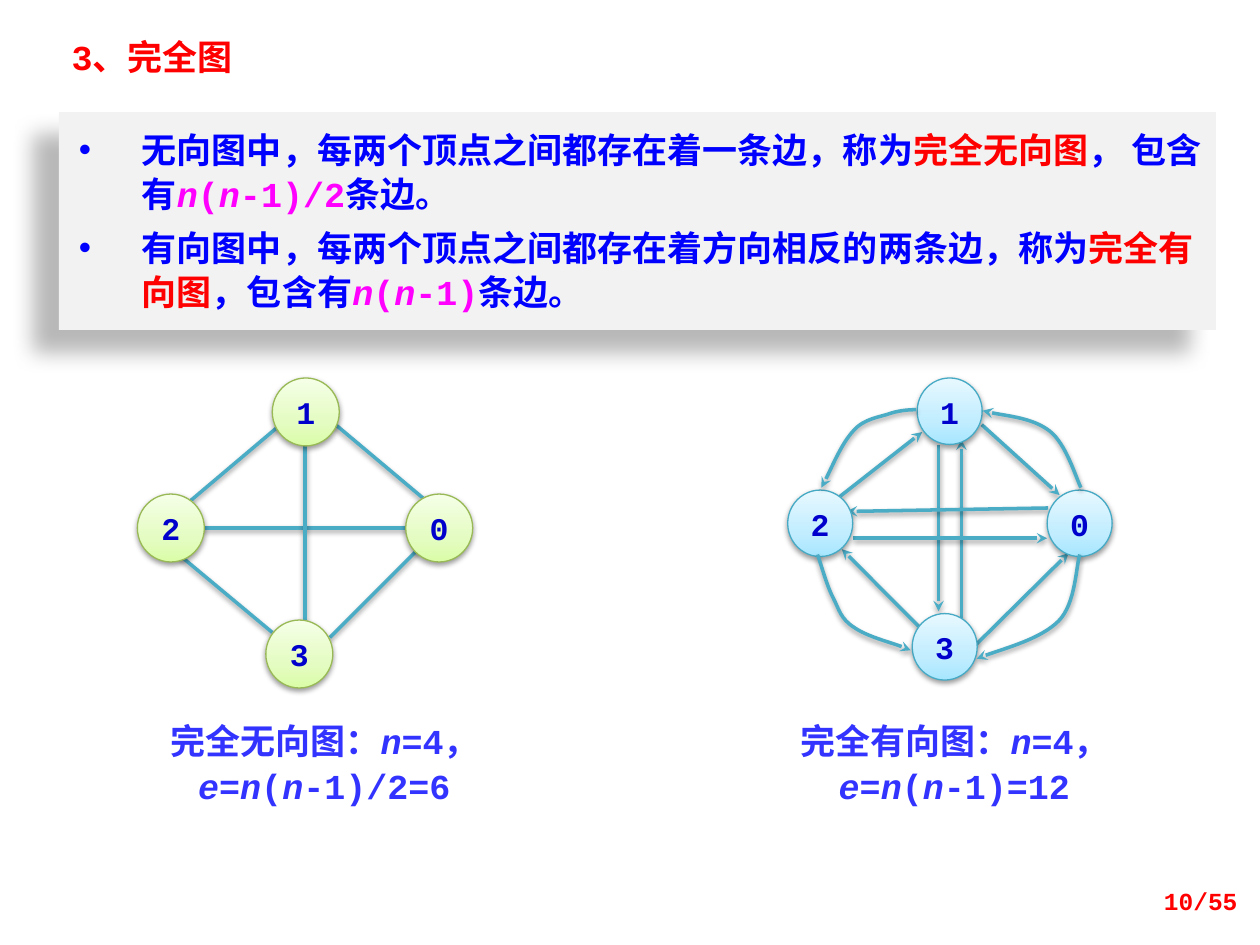
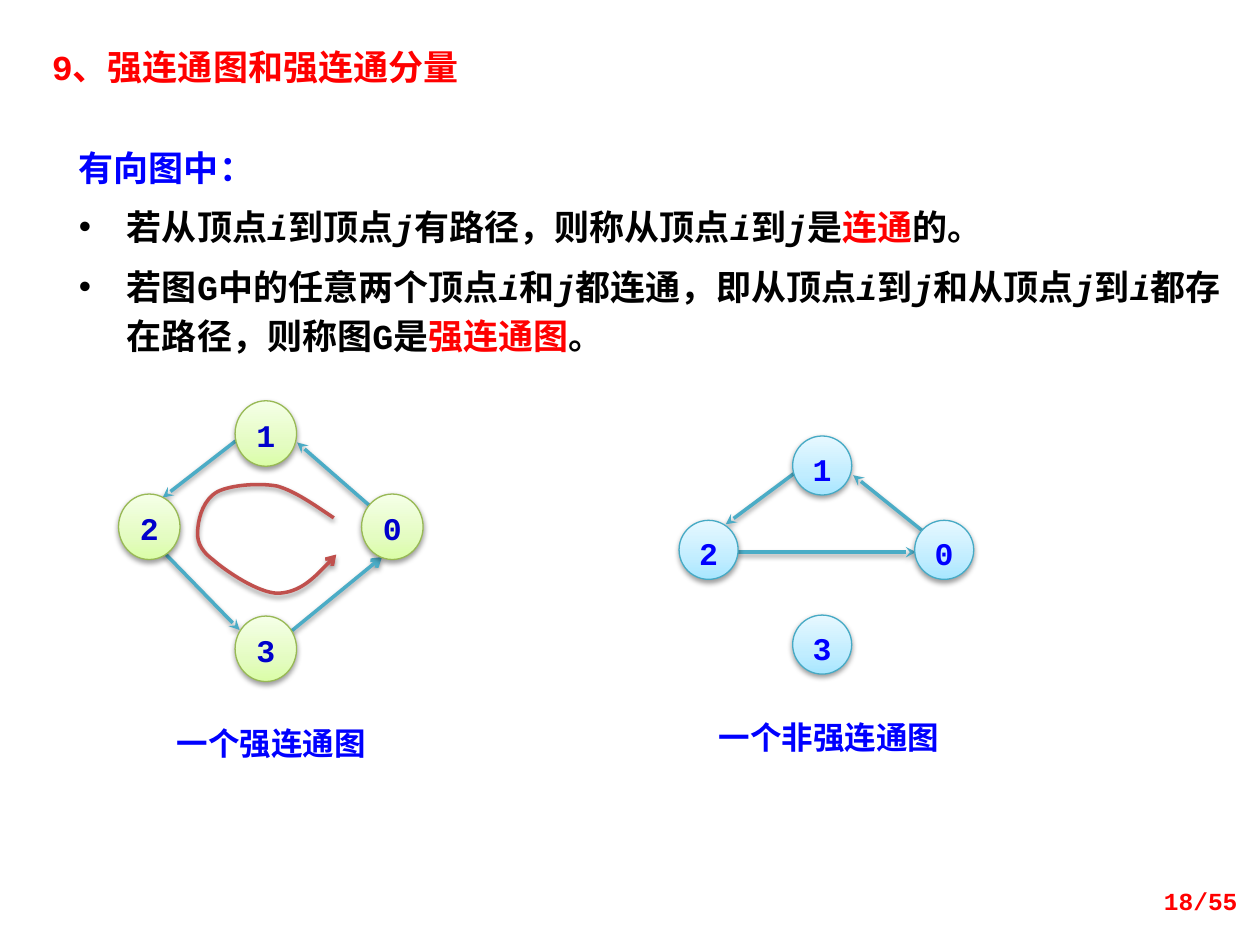
from copy import deepcopy
from dataclasses import dataclass, field
from typing import Any, NamedTuple, Optional

from lxml import etree
from pptx import Presentation
from pptx.dml.color import RGBColor
from pptx.enum import shapes, text
from pptx.oxml.ns import qn
from pptx.util import Cm, Pt

# Shared look
CODE_FONT, HAN_FONT, TERM_FONT = "Courier New", "Noto Sans CJK SC", "Noto Sans CJK JP"
RED, BLUE, NAVY, INDIGO = "FF0000", "0000FF", "0000CC", "3333FF"
MAGENTA, BLACK, EDGE, CYCLE = "FF00FF", "000000", "4BACC6", "C0504D"
TITLE_HEIGHT = 1.12
PAGE_BOX = (19.28, 17.65, 5.92, 1.02)
PAGE_TOTAL = 55
Points = list[tuple[float, float]]
Box = tuple[float, float, float, float]


class Shadow(NamedTuple):
    opacity: int
    blur: float
    distance: float
    angle: int


class Palette(NamedTuple):
    stops: tuple[tuple[float, str], ...]
    outline: str


SOFT_SHADOW = Shadow(38, 3.1, 1.6, 90)
PANEL_SHADOW = Shadow(28, 11.8, 19.7, 141)
GREEN = Palette(((0, "DAFDA7"), (0.35, "E4FCC2"), (1, "F5FFE7")), "98B955")
SKY = Palette(((0, "A7E6FF"), (0.35, "C1EDFF"), (1, "E7F8FF")), "46AAC5")


class Span(NamedTuple):
    """Text in one colour; underscores switch italics on and off."""
    words: str
    colour: str
    font: str = CODE_FONT


class Para(NamedTuple):
    spans: list[Span]
    hanging: float = 0


class Edge(NamedTuple):
    x1: float
    y1: float
    x2: float
    y2: float
    tip: Optional[str] = "stealth"


@dataclass
class Graph:
    palette: Palette
    node_size: tuple[float, float]
    nodes: dict[str, tuple[float, float]]
    edges: list[Edge]
    caption_box: Box
    caption: list[Para]
    caption_format: dict[str, Any]
    label_colour: str = NAVY
    caption_size: int = 20
    curves: list[Points] = field(default_factory=list)


# Formatting helpers
def rgb(code: str) -> RGBColor:
    return RGBColor.from_string(code)


def set_values(target: Any, values: dict[str, Any]) -> None:
    for name, value in values.items():
        setattr(target, name, value)


def add_element(parent: Any, tag: str, **attributes: Any) -> Any:
    return etree.SubElement(parent, qn(tag), {k: str(v) for k, v in attributes.items()})


def cast_shadow(shape: Any, shadow: Shadow) -> None:
    effects = add_element(shape._element.spPr, "a:effectLst")
    outer = add_element(effects, "a:outerShdw", blurRad=Pt(shadow.blur), dist=Pt(shadow.distance),
                        dir=shadow.angle * 60000, algn="ctr", rotWithShape=0)
    colour = add_element(outer, "a:srgbClr", val=BLACK)
    add_element(colour, "a:alpha", val=shadow.opacity * 1000)


def style_line(line: Any, colour: str, width: float) -> None:
    line.color.rgb = rgb(colour)
    line.width = Pt(width)


def style_edge(shape: Any, colour: str, tip: Optional[str]) -> None:
    style_line(shape.line, colour, 2)
    if tip:
        add_element(shape._element.spPr.find(qn("a:ln")), "a:tailEnd", type=tip)
    cast_shadow(shape, SOFT_SHADOW)


def write_paragraphs(frame: Any, paras: list[Para], size: int, layout: dict[str, Any],
                     gap: float = 0) -> None:
    for index, para in enumerate(paras):
        paragraph = frame.add_paragraph() if index else frame.paragraphs[0]
        set_values(paragraph, layout | {"space_before": Pt(gap if index else 0)})
        if para.hanging:
            properties = paragraph._p.get_or_add_pPr()
            properties.set("marL", str(Cm(para.hanging)))
            properties.set("indent", str(-Cm(para.hanging)))
            add_element(properties, "a:buFont", typeface="Arial")
            add_element(properties, "a:buChar", char="•")
        for span in para.spans:
            for part, words in enumerate(span.words.split("_")):
                if words:
                    run = paragraph.add_run()
                    run.text = words
                    set_values(run.font, {"name": span.font, "size": Pt(size), "bold": True,
                                          "italic": part % 2 == 1})
                    run.font.color.rgb = rgb(span.colour)
                    han = HAN_FONT if span.font == CODE_FONT else span.font
                    add_element(run._r.rPr, "a:ea", typeface=han)


def prepare_frame(shape: Any, anchor: Any = text.MSO_ANCHOR.TOP,
                  margins: Optional[Box] = None) -> Any:
    frame = shape.text_frame
    set_values(frame, {"word_wrap": True, "auto_size": text.MSO_AUTO_SIZE.NONE,
                       "vertical_anchor": anchor})
    if margins:
        sides = ("margin_left", "margin_top", "margin_right", "margin_bottom")
        set_values(frame, dict(zip(sides, map(Cm, margins))))
    return frame


# Slide parts
def start_slide(deck: Any, title: str, left: float, top: float, width: float, page: int) -> Any:
    slide = deck.slides.add_slide(deck.slide_layouts[5])
    heading = slide.shapes.title
    set_values(heading, dict(zip(("left", "top", "width", "height"),
                                 map(Cm, (left, top, width, TITLE_HEIGHT)))))
    write_paragraphs(prepare_frame(heading), [Para([Span(title, RED)])], 20,
                     {"alignment": text.PP_ALIGN.LEFT})
    number = slide.shapes.add_textbox(*map(Cm, PAGE_BOX))
    write_paragraphs(prepare_frame(number, text.MSO_ANCHOR.MIDDLE),
                     [Para([Span(f"{page}/{PAGE_TOTAL}", RED)])], 14,
                     {"alignment": text.PP_ALIGN.RIGHT})
    return slide


def add_panel(slide: Any, box: Box, fill: str, paras: list[Para], spacing: int,
              shadow: Optional[Shadow] = None) -> None:
    panel = slide.shapes.add_shape(shapes.MSO_SHAPE.RECTANGLE, *map(Cm, box))
    panel.fill.solid()
    panel.fill.fore_color.rgb = rgb(fill)
    panel.line.fill.background()
    if shadow:
        cast_shadow(panel, shadow)
    else:
        panel.shadow.inherit = False
    write_paragraphs(prepare_frame(panel, margins=(0.4, 0.3, 0.25, 0.3)), paras, 20,
                     {"alignment": text.PP_ALIGN.LEFT, "line_spacing": Pt(spacing)}, gap=6)


def add_edge(slide: Any, edge: Edge) -> None:
    line = slide.shapes.add_connector(shapes.MSO_CONNECTOR.STRAIGHT, *map(Cm, edge[:4]))
    style_edge(line, EDGE, edge.tip)


def add_curve(slide: Any, points: Points, colour: str = EDGE, tip: str = "stealth") -> None:
    """Draw joined Bézier curves: a start, then two controls and an end per curve."""
    start, *rest = [(Cm(x), Cm(y)) for x, y in points]
    builder = slide.shapes.build_freeform(*start)
    builder.add_line_segments(rest, close=False)
    curve = builder.convert_to_shape()
    outline = next(curve._element.spPr.iter(qn("a:path")))
    segments = outline.findall(qn("a:lnTo"))
    for first in range(0, len(segments), 3):
        bezier = add_element(outline, "a:cubicBezTo")
        for segment in segments[first:first + 3]:
            bezier.append(segment[0])
            outline.remove(segment)
    curve.fill.background()
    style_edge(curve, colour, tip)


def add_node(slide: Any, graph: Graph, label: str) -> None:
    node = slide.shapes.add_shape(shapes.MSO_SHAPE.OVAL,
                                  *map(Cm, graph.nodes[label] + graph.node_size))
    node.fill.gradient()
    node.fill.gradient_angle = 90
    stop_list = next(node._element.spPr.iter(qn("a:gsLst")))
    stop_list.insert(1, deepcopy(stop_list[0]))
    for stop, (position, colour) in zip(node.fill.gradient_stops, graph.palette.stops):
        stop.position = position
        stop.color.rgb = rgb(colour)
    style_line(node.line, graph.palette.outline, 0.75)
    cast_shadow(node, SOFT_SHADOW)
    write_paragraphs(prepare_frame(node, margins=(0, 0.3, 0, 0)),
                     [Para([Span(label, graph.label_colour)])], 18,
                     {"alignment": text.PP_ALIGN.CENTER, "line_spacing": 0.72})


def add_graph(slide: Any, graph: Graph) -> None:
    for edge in graph.edges:
        add_edge(slide, edge)
    for label in graph.nodes:
        add_node(slide, graph, label)
    for points in graph.curves:
        add_curve(slide, points)
    caption = slide.shapes.add_textbox(*map(Cm, graph.caption_box))
    write_paragraphs(prepare_frame(caption), graph.caption, graph.caption_size,
                     {"alignment": text.PP_ALIGN.CENTER} | graph.caption_format)


def complete_caption(kind: str, count: str) -> list[Para]:
    return [Para([Span(words, INDIGO)]) for words in (f"{kind}：_n_=4，", f"_e_=_n_(_n_-1){count}")]


# Complete graphs
UNDIRECTED = Graph(
    GREEN, (1.35, 1.37),
    {"1": (5.49, 7.62), "0": (8.18, 9.96), "2": (2.77, 9.96), "3": (5.36, 12.5)},
    [Edge(*ends, tip=None) for ends in (
        (5.69, 8.53, 3.61, 10.29), (3.45, 11.05, 5.49, 12.75), (6.65, 12.85, 8.48, 11.02),
        (6.55, 8.38, 8.61, 10.11), (3.45, 10.64, 8.84, 10.64), (6.15, 8.99, 6.15, 13.11))],
    (2.77, 14.3, 7.54, 2.11), complete_caption("完全无向图", "/2=6"), {"line_spacing": Pt(26)})

DIRECTED = Graph(
    SKY, (1.31, 1.34),
    {"1": (18.49, 7.62), "0": (21.11, 9.88), "2": (15.88, 9.88), "3": (18.39, 12.37)},
    [Edge(18.92, 8.97, 18.92, 12.32), Edge(19.38, 12.88, 19.38, 8.86),
     Edge(21.13, 10.24, 17.07, 10.31), Edge(17.2, 10.85, 21.11, 10.85),
     Edge(18.87, 12.98, 16.97, 11.07), Edge(19.69, 12.98, 21.54, 11.15),
     Edge(19.79, 8.56, 21.36, 9.98), Edge(16.84, 10.08, 18.59, 8.71)],
    (15.47, 14.3, 7.54, 2.11), complete_caption("完全有向图", "=12"), {"line_spacing": Pt(26)},
    curves=[
        [(21.77, 11.18), (21.69, 11.4), (21.69, 12.17), (21.34, 12.52),
         (20.98, 12.88), (20.04, 13.13), (19.69, 13.28)],
        [(18.47, 8.26), (18.39, 8.26), (18.19, 8.26), (17.96, 8.33), (17.75, 8.41),
         (17.42, 8.43), (17.2, 8.69), (16.97, 8.94), (16.69, 9.6), (16.56, 9.83)],
        [(16.48, 11.18), (16.54, 11.33), (16.66, 11.79), (16.79, 12.04), (16.92, 12.29),
         (16.94, 12.47), (17.22, 12.65), (17.48, 12.83), (18.14, 13), (18.36, 13.11)],
        [(21.79, 9.83), (21.69, 9.63), (21.49, 8.94), (21.16, 8.69),
         (20.83, 8.43), (20.09, 8.36), (19.81, 8.28)]])

# Strong connectivity
STRONG = Graph(
    GREEN, (1.24, 1.32),
    {"1": (4.74, 8.08), "0": (7.29, 9.96), "2": (2.39, 9.96), "3": (4.74, 12.42)},
    [Edge(3.3, 11.13, 4.83, 12.7), Edge(5.84, 12.75, 7.7, 11.23, "arrow"),
     Edge(4.75, 8.89, 3.28, 10.03), Edge(7.47, 10.21, 5.99, 8.92)],
    (2.97, 14.48, 5, 1.02), [Para([Span("一个强连通图", BLUE)])], {}, caption_size=18)

NOT_STRONG = Graph(
    SKY, (1.19, 1.19),
    {"1": (15.98, 8.79), "0": (18.44, 10.49), "2": (13.69, 10.49), "3": (15.98, 12.4)},
    [Edge(14.88, 11.13, 18.47, 11.13), Edge(16, 9.55, 14.63, 10.57),
     Edge(18.62, 10.72, 17.2, 9.58)],
    (14.1, 14.35, 5.23, 1.12), [Para([Span("一个非强连通图", BLUE)])], {},
    label_colour=BLUE, caption_size=18)

CYCLE_CURVE = [
    (6.73, 10.44), (6.35, 10.19), (5.97, 9.91), (5.59, 9.8), (5.21, 9.73), (4.65, 9.78),
    (4.39, 9.91), (4.11, 10.06), (4.01, 10.41), (3.99, 10.64), (3.96, 10.87), (4.01, 11.07),
    (4.29, 11.28), (4.55, 11.51), (5.21, 11.96), (5.61, 11.96), (6.05, 11.94), (6.43, 11.56),
    (6.78, 11.18)]


def build_complete_graphs(deck: Any) -> None:
    slide = start_slide(deck, "3、完全图", 1.19, 0.58, 5.94, 10)
    definitions = [
        Para([Span("无向图中，每两个顶点之间都存在着一条边，称为", BLUE),
              Span("完全无向图", RED, TERM_FONT), Span("， 包含有", BLUE),
              Span("_n_(_n_-1)/2", MAGENTA), Span("条边。", BLUE)], 1.27),
        Para([Span("有向图中，每两个顶点之间都存在着方向相反的两条边，称为", BLUE),
              Span("完全有向图", RED, TERM_FONT), Span("，包含有", BLUE),
              Span("_n_(_n_-1)", MAGENTA), Span("条边。", BLUE)], 1.27)]
    add_panel(slide, (1.19, 2.26, 23.32, 4.39), "F2F2F2", definitions, 25, PANEL_SHADOW)
    for graph in (UNDIRECTED, DIRECTED):
        add_graph(slide, graph)


def build_strong_connectivity(deck: Any) -> None:
    slide = start_slide(deck, "9、强连通图和强连通分量", 0.79, 0.79, 11.51, 18)
    definitions = [
        Para([Span("有向图中：", BLUE, HAN_FONT)]),
        Para([Span("若从顶点_i_到顶点_j_有路径，则称从顶点_i_到_j_是", BLACK),
              Span("连通", RED, TERM_FONT), Span("的。", BLACK)], 0.97),
        Para([Span("若图G中的任意两个顶点_i_和_j_都连通，即从顶点_i_到_j_和从顶点_j_到_i_"
                   "都存在路径，则称图G是", BLACK),
              Span("强连通图", RED, TERM_FONT), Span("。", BLACK)], 0.97)]
    add_panel(slide, (1.19, 2.51, 23.72, 5.03), "FFFFFF", definitions, 28)
    for graph in (STRONG, NOT_STRONG):
        add_graph(slide, graph)
    add_curve(slide, CYCLE_CURVE, CYCLE, "arrow")


def main() -> None:
    deck = Presentation()
    set_values(deck, {"slide_width": Cm(25.4), "slide_height": Cm(19.05)})
    build_complete_graphs(deck)
    build_strong_connectivity(deck)
    deck.save("out.pptx")


if __name__ == "__main__":
    main()
